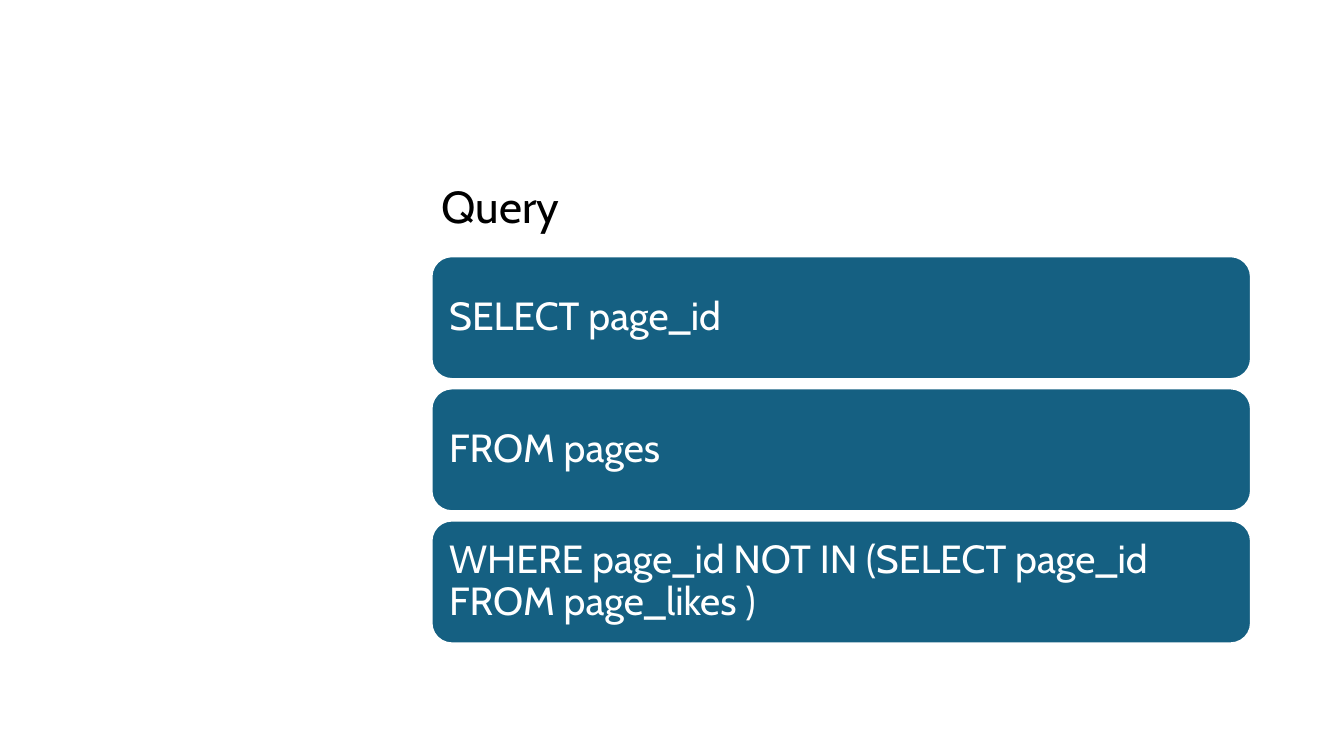
"""Build a slide showing an SQL query as three stacked clause boxes."""
import pptx
import pptx.dml.color
import pptx.enum.shapes
import pptx.enum.text
import pptx.util

Pt = pptx.util.Pt
BLACK = pptx.dml.color.RGBColor(0x00, 0x00, 0x00)
WHITE = pptx.dml.color.RGBColor(0xFF, 0xFF, 0xFF)
BLUE = pptx.dml.color.RGBColor(0x15, 0x60, 0x82)

LEFT = 308.2
CLAUSE_TOP = 183
CLAUSE_STEP = 94.4
CLAUSE_WIDTH = 585.4
CLAUSE_HEIGHT = 87.8
CLAUSE_INSET = 8.4
CLAUSES = [
    "SELECT page_id",
    "FROM pages",
    "WHERE page_id NOT IN (SELECT page_id FROM page_likes )",
]


def write_text(text_frame, text, size, color, anchor):
    text_frame.word_wrap = True
    text_frame.auto_size = pptx.enum.text.MSO_AUTO_SIZE.NONE
    text_frame.vertical_anchor = anchor
    paragraph = text_frame.paragraphs[0]
    paragraph.alignment = pptx.enum.text.PP_ALIGN.LEFT
    paragraph.line_spacing = 0.9
    run = paragraph.add_run()
    run.text = text
    run.font.name = "Cabin"
    run.font.size = Pt(size)
    run.font.color.rgb = color


presentation = pptx.Presentation()
presentation.slide_width = Pt(960)
presentation.slide_height = Pt(540)
slide = presentation.slides.add_slide(presentation.slide_layouts.get_by_name("Title Only"))

title = slide.shapes.title
title.left, title.top = Pt(LEFT), Pt(105.1)
title.width, title.height = Pt(560.9), Pt(64.8)
write_text(title.text_frame, "Query", 32, BLACK, pptx.enum.text.MSO_ANCHOR.BOTTOM)

for index, clause in enumerate(CLAUSES):
    shape = slide.shapes.add_shape(
        pptx.enum.shapes.MSO_SHAPE.ROUNDED_RECTANGLE,
        Pt(LEFT), Pt(CLAUSE_TOP + index * CLAUSE_STEP), Pt(CLAUSE_WIDTH), Pt(CLAUSE_HEIGHT),
    )
    shape.shadow.inherit = False
    shape.fill.solid()
    shape.fill.fore_color.rgb = BLUE
    shape.line.color.rgb = WHITE
    shape.line.width = Pt(1.5)
    text_frame = shape.text_frame
    text_frame.margin_left = text_frame.margin_right = Pt(CLAUSE_INSET)
    text_frame.margin_top = text_frame.margin_bottom = Pt(CLAUSE_INSET)
    write_text(text_frame, clause, 28, WHITE, pptx.enum.text.MSO_ANCHOR.MIDDLE)

presentation.save("out.pptx")
